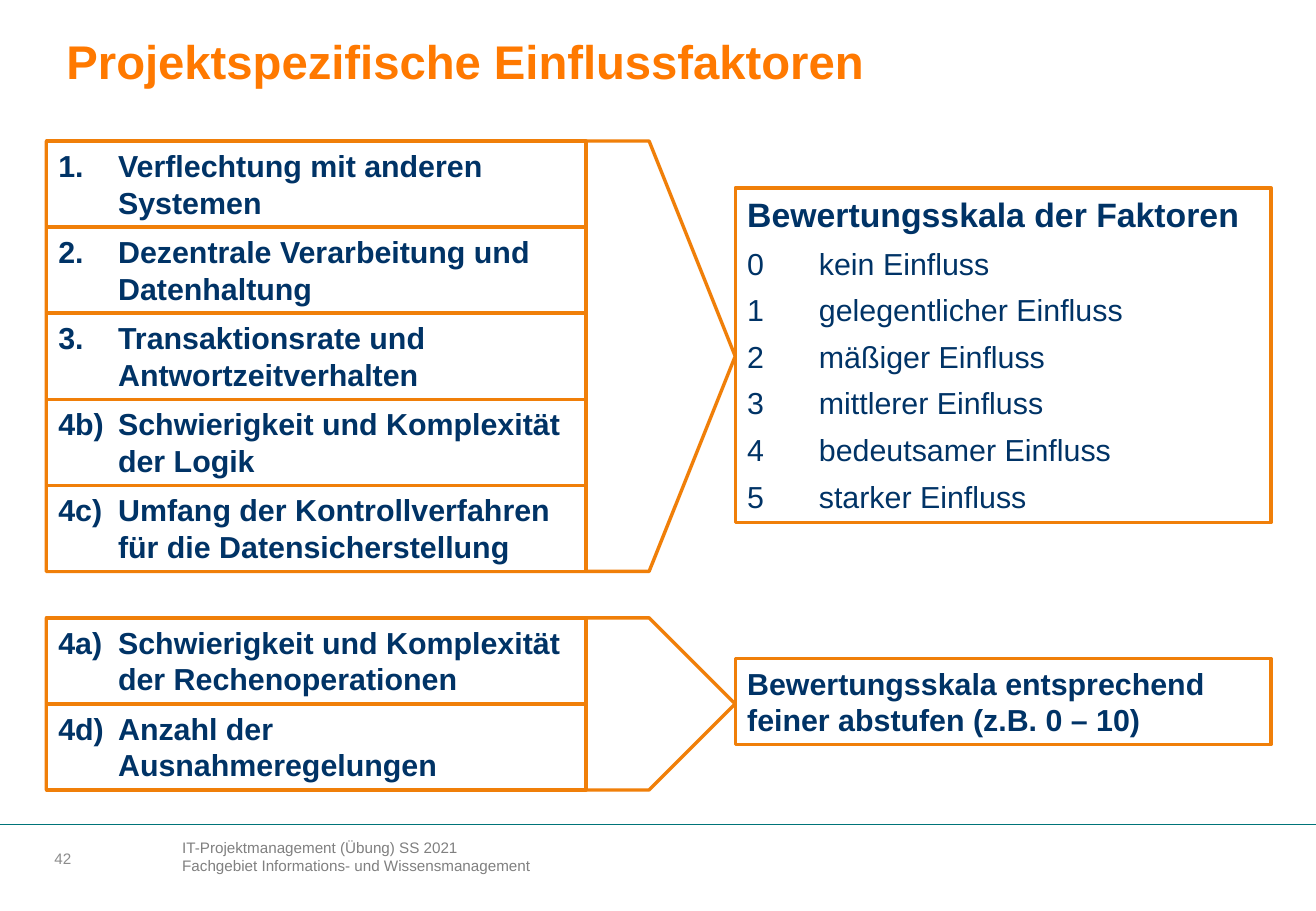
import pptx
import pptx.util
import pptx.dml.color
import pptx.enum.shapes
import pptx.enum.text
import pptx.oxml
import pptx.oxml.ns
from pptx.util import Cm, Pt

COLORS = {"orange": "F07F09", "title": "FF7900", "navy": "003366", "white": "FFFFFF",
          "footer": "808080", "number": "8C8C8C", "rule": "007479"}
SHAPES = pptx.enum.shapes.MSO_SHAPE
ANCHOR = pptx.enum.text.MSO_ANCHOR
LEFT = pptx.enum.text.PP_ALIGN.LEFT

FACTOR_X, FACTOR_W, ROW_H = 0.97, 11.28, 1.8
SCALE_X, SCALE_W = 15.37, 11.2
INSETS = (0.25, 0.13, 0.25, 0.13)

SCALE_FACTORS = ["1.\tVerflechtung mit anderen Systemen",
                 "2.\tDezentrale Verarbeitung und Datenhaltung",
                 "3.\tTransaktionsrate und Antwortzeitverhalten",
                 "4b)\tSchwierigkeit und Komplexität der Logik",
                 "4c)\tUmfang der Kontrollverfahren für die Datensicherstellung"]
FINE_FACTORS = ["4a)\tSchwierigkeit und Komplexität der Rechenoperationen",
                "4d)\tAnzahl der Ausnahmeregelungen"]
RATINGS = ["kein", "gelegentlicher", "mäßiger", "mittlerer", "bedeutsamer", "starker"]


def rgb(name):
    return pptx.dml.color.RGBColor.from_string(COLORS[name])


def write(frame, lines, color, size, bold=False, anchor=ANCHOR.TOP, insets=INSETS):
    """Fill a text frame with left-aligned paragraphs."""
    margins = zip(("left", "top", "right", "bottom"), insets)
    layout = {f"margin_{side}": Cm(inset) for side, inset in margins}
    layout.update(word_wrap=True, vertical_anchor=anchor,
                  auto_size=pptx.enum.text.MSO_AUTO_SIZE.NONE)
    for key, value in layout.items():
        setattr(frame, key, value)
    frame.text = "\n".join(lines)
    for paragraph in frame.paragraphs:
        paragraph.alignment = LEFT
        for run in paragraph.runs:
            for key, value in {"name": "Arial", "size": Pt(size), "bold": bold}.items():
                setattr(run.font, key, value)
            run.font.color.rgb = rgb(color)


def add_outlined(slide, kind, x, y, width, height):
    shape = slide.shapes.add_shape(kind, Cm(x), Cm(y), Cm(width), Cm(height))
    shape.shadow.inherit = False
    shape.fill.solid()
    shape.fill.fore_color.rgb = rgb("white")
    shape.line.color.rgb = rgb("orange")
    shape.line.width = Pt(2)
    return shape


def add_box(slide, x, y, width, height, lines):
    box = add_outlined(slide, SHAPES.RECTANGLE, x, y, width, height)
    write(box.text_frame, lines, "navy", 18, bold=True)
    return box


def add_factor_group(slide, top, factors):
    """Stack factor rows on a pentagon that points to their scale."""
    height = ROW_H * len(factors)
    pointer = add_outlined(slide, SHAPES.PENTAGON, FACTOR_X, top, SCALE_X - FACTOR_X, height)
    pointer.adjustments[0] = ROW_H / height
    for row, factor in enumerate(factors):
        box = add_box(slide, FACTOR_X, top + row * ROW_H, FACTOR_W, ROW_H, [factor])
        properties = box.text_frame.paragraphs[0]._p.get_or_add_pPr()
        properties.set("marL", str(Cm(1.25)))
        properties.set("indent", str(-Cm(1.25)))


def add_rating_scale(slide):
    ratings = [f"{value}\t{name} Einfluss" for value, name in enumerate(RATINGS)]
    scale = add_box(slide, SCALE_X, 3.93, SCALE_W, 7.0,
                    ["Bewertungsskala der Faktoren"] + ratings)
    heading, *entries = scale.text_frame.paragraphs
    heading.runs[0].font.size = Pt(20)
    for entry in entries:
        entry.space_before = Pt(6)
        entry.runs[0].font.bold = False
        tabs = pptx.oxml.parse_xml(
            f'<a:tabLst {pptx.oxml.ns.nsdecls("a")}><a:tab pos="{Cm(1.5)}" algn="l"/></a:tabLst>')
        entry._p.get_or_add_pPr().append(tabs)


def add_label(slide, x, y, width, height, lines, color, **layout):
    label = slide.shapes.add_textbox(Cm(x), Cm(y), Cm(width), Cm(height))
    write(label.text_frame, lines, color, 9, **layout)


def add_footer(slide, slide_width):
    rule = slide.shapes.add_connector(pptx.enum.shapes.MSO_CONNECTOR.STRAIGHT,
                                      0, Cm(17.25), slide_width, Cm(17.25))
    rule.line.color.rgb = rgb("rule")
    rule.line.width = Pt(0.5)
    rule._element.spPr.append(
        pptx.oxml.parse_xml(f'<a:effectLst {pptx.oxml.ns.nsdecls("a")}/>'))
    add_label(slide, 1.14, 17.63, 1.83, 0.64, ["42"], "number",
              anchor=ANCHOR.MIDDLE, insets=(0, 0, 0, 0))
    add_label(slide, 3.56, 17.4, 15.4, 1.42,
              ["IT-Projektmanagement (Übung) SS 2021",
               "Fachgebiet Informations- und Wissensmanagement"], "footer")


def add_title(slide, text):
    title = slide.shapes.title
    place = {"left": Cm(1.14), "top": Cm(0.46), "width": Cm(25.55), "height": Cm(1.6)}
    for key, value in place.items():
        setattr(title, key, value)
    write(title.text_frame, [text], "title", 28, bold=True, anchor=ANCHOR.MIDDLE)


def main():
    deck = pptx.Presentation()
    deck.slide_width, deck.slide_height = Cm(27.51), Cm(19.05)
    slide = deck.slides.add_slide(deck.slide_layouts[5])
    add_title(slide, "Projektspezifische Einflussfaktoren")

    # Factors rated from 0 to 5
    add_factor_group(slide, 2.95, SCALE_FACTORS)
    add_rating_scale(slide)

    # Factors rated on a finer scale
    add_factor_group(slide, 12.92, FINE_FACTORS)
    add_box(slide, SCALE_X, 13.77, SCALE_W, ROW_H,
            ["Bewertungsskala entsprechend feiner abstufen (z.B. 0 – 10)"])

    add_footer(slide, deck.slide_width)
    deck.save("out.pptx")


if __name__ == "__main__":
    main()
